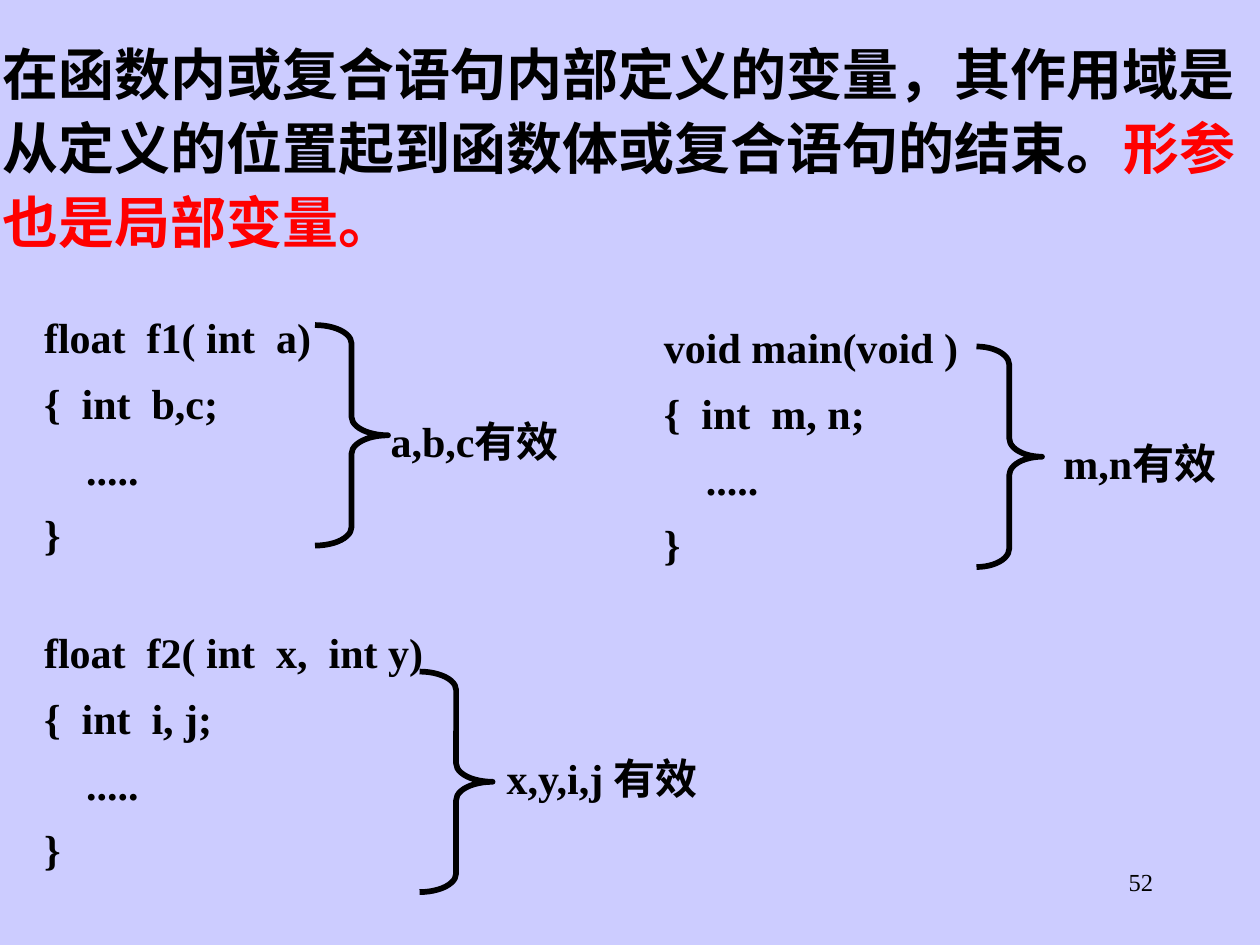
from pptx import Presentation
from pptx.dml.color import RGBColor
from pptx.enum import shapes, text
from pptx.util import Inches, Pt

BACKGROUND = RGBColor(0xCC, 0xCC, 0xFF)
BLACK = RGBColor(0, 0, 0)
RED = RGBColor(0xFF, 0, 0)
FONT = "Times New Roman"
BRACE_HEIGHT = 1.75
BRACE_CURVE = 0.146


def add_text(slide, box, paragraphs, size=24, bold=True, spacing=1.1,
             align=text.PP_ALIGN.LEFT, margins=(0.02, 0.01)):
    """Add a wrapped text box whose paragraphs are lists of (wording, colour) runs."""
    frame = slide.shapes.add_textbox(*map(Inches, box)).text_frame
    frame.word_wrap = True
    frame.vertical_anchor = text.MSO_ANCHOR.TOP
    frame.margin_left = frame.margin_right = Inches(margins[0])
    frame.margin_top = frame.margin_bottom = Inches(margins[1])
    for index, runs in enumerate(paragraphs):
        paragraph = frame.add_paragraph() if index else frame.paragraphs[0]
        paragraph.alignment = align
        paragraph.line_spacing = spacing
        if index:
            paragraph.space_before = Pt(6)
        for wording, colour in runs:
            run = paragraph.add_run()
            run.text = wording
            run.font.name = FONT
            run.font.size = Pt(size)
            run.font.bold = bold
            run.font.color.rgb = colour


def add_code(slide, left, top, width, signature, declaration):
    """Add a function listing with its signature and local declaration."""
    lines = [signature, "{  int  " + declaration, "    .....", "}"]
    add_text(slide, (left, top, width, 2.03), [[(line, BLACK)] for line in lines])


def add_brace(slide, left, top, width):
    """Add a right brace that spans the scope of a function."""
    brace = slide.shapes.add_shape(
        shapes.MSO_SHAPE.RIGHT_BRACE,
        *map(Inches, (left, top, width, BRACE_HEIGHT)))
    brace.adjustments[0] = BRACE_CURVE / width
    brace.adjustments[1] = 0.5
    brace.shadow.inherit = False
    brace.fill.background()
    brace.line.color.rgb = BLACK
    brace.line.width = Pt(3.25)


def add_scope(slide, brace, label_left, label_width, label):
    """Add a brace and the label of the variables valid inside it."""
    add_brace(slide, *brace)
    label_top = brace[1] + (0.59 if label.startswith("x") else 0.67)
    add_text(slide, (label_left, label_top, label_width, 0.46), [[(label, BLACK)]])


def main():
    """Build the slide on the scope of local variables."""
    deck = Presentation()
    deck.slide_width, deck.slide_height = Inches(10), Inches(7.5)
    slide = deck.slides.add_slide(deck.slide_layouts[6])
    slide.background.fill.solid()
    slide.background.fill.fore_color.rgb = BACKGROUND

    add_text(slide, (7.17, 6.83, 2.08, 0.5), [[("52", BLACK)]], size=14, bold=False,
             spacing=1, align=text.PP_ALIGN.RIGHT, margins=(0.1, 0.05))
    add_text(slide, (0, 0.25, 10, 1.78), [[
        ("在函数内或复合语句内部定义的变量，其作用域是从定义的位置起到函数体或复合语句的结束。", BLACK),
        ("形参也是局部变量。", RED)]], size=32)

    add_code(slide, 0.33, 2.42, 2.75, "float  f1( int  a)", "b,c;")
    add_code(slide, 0.33, 4.92, 3.08, "float  f2( int  x,  int y)", "i, j;")
    add_code(slide, 5.25, 2.5, 2.67, "void main(void )", "m, n;")

    add_scope(slide, (3.33, 5.33, 0.58), 4, 1.75, "x,y,i,j 有效")
    add_scope(slide, (2.5, 2.58, 0.58), 3.08, 1.75, "a,b,c有效")
    add_scope(slide, (7.75, 2.75, 0.52), 8.42, 1.57, "m,n有效")
    deck.save("out.pptx")


if __name__ == "__main__":
    main()
